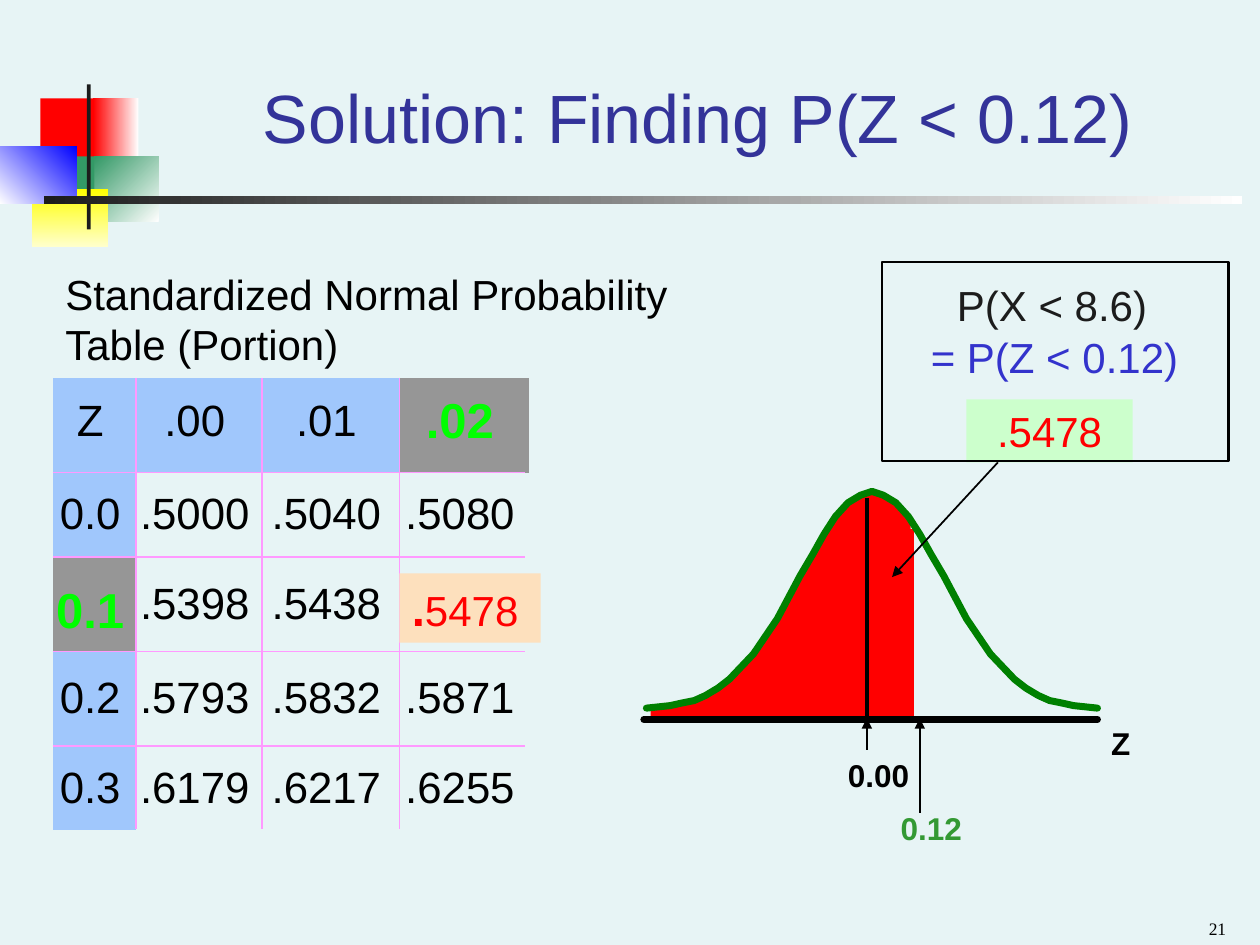
from itertools import accumulate

from lxml.etree import SubElement
from pptx import Presentation
from pptx.dml.color import RGBColor
from pptx.enum.shapes import MSO_CONNECTOR, MSO_SHAPE
from pptx.enum.text import MSO_ANCHOR, PP_ALIGN
from pptx.oxml.ns import qn
from pptx.util import Inches, Pt

BLACK, RED, GREEN, PINK = "000000", "FF0000", "008000", "FF99FF"
HEADER_BLUE, HIGHLIGHT_GRAY, HIGHLIGHT_GREEN = "A0C7FC", "969696", "00FF00"
NO_TABLE_STYLE = "{2D5ABB26-0587-4C30-8999-92F81FD0307C}"
LEFT, CENTER, RIGHT = PP_ALIGN.LEFT, PP_ALIGN.CENTER, PP_ALIGN.RIGHT

# (left, top, width, height), fill colours, clockwise gradient angle
DECORATION = [
    ((0.32, 0.78, 0.48, 0.52), [RED], 0),
    ((0.74, 0.78, 0.36, 0.52), ["FFFFFF", RED], 180),
    ((0.75, 1.24, 0.51, 0.52), ["FFFFFF", "339966"], 225),
    ((0.43, 1.24, 0.32, 0.52), ["339966"], 0),
    ((0.25, 1.5, 0.61, 0.46), ["FFFF00", "FFFFCC"], 90),
    ((0, 1.16, 0.61, 0.46), ["0000FF", "FFFFFF"], 135),
    ((0.69, 0.67, 0.03, 1.15), ["1C1C1C"], 0),
    ((0.35, 1.56, 9.51, 0.06), ["FFFFFF", "1C1C1C"], 180),
]

# The .5478 cell stays empty: its value sits in a highlight box on top
TABLE_ROWS = [
    ["Z", ".00", ".01", ".02"],
    ["0.0", ".5000", ".5040", ".5080"],
    ["0.1", ".5398", ".5438", ""],
    ["0.2", ".5793", ".5832", ".5871"],
    ["0.3", ".6179", ".6217", ".6255"],
]
HIGHLIGHTED = {".02", "0.1"}
TABLE_LEFT, TABLE_TOP, GRID_RIGHT, GRID_BOTTOM = 0.42, 3, 4.17, 6.58
COLUMN_WIDTHS = [0.66, 1, 1.09, 1.03]
ROW_HEIGHTS = [0.75, 0.67, 0.75, 0.75, 0.67]

# Bell curve: peak first, then the right half down to the tail
PEAK_X, MEAN_X, LIMIT_X, AXIS_Y = 6.92, 6.88, 7.22, 5.71
RIGHT_HALF = [
    (6.92, 3.9), (7.01, 3.93), (7.11, 3.99), (7.21, 4.1), (7.3, 4.24), (7.39, 4.4),
    (7.49, 4.57), (7.67, 4.91), (7.86, 5.19), (8.05, 5.39), (8.14, 5.46),
    (8.24, 5.52), (8.33, 5.56), (8.43, 5.58), (8.52, 5.6), (8.71, 5.62),
]
LEFT_AREA = [
    (6.88, 5.71), (6.87, 3.92), (6.71, 4.04), (6.54, 4.21), (6.43, 4.44), (6.27, 4.7),
    (6.18, 4.87), (6.07, 5.06), (5.96, 5.21), (5.79, 5.4), (5.52, 5.56),
    (5.17, 5.62), (5.17, 5.73),
]
RIGHT_AREA = [(6.88, 5.71), (6.88, 3.92), (7.06, 3.97), (7.13, 4.03), (7.22, 4.15), (7.22, 5.71)]

# text, (left, top, width, height), format
LABELS = [
    ("Z", (8.72, 5.7, 0.42, 0.4), dict(size=18, bold=True)),
    ("0.12", (7.05, 6.37, 0.69, 0.4), dict(size=18, bold=True, color="339933", wrap=False)),
    ("0.00", (6.63, 5.95, 0.69, 0.4), dict(size=18, bold=True, wrap=False)),
    ("= P(Z < 0.12)", (7.12, 2.58, 2.5, 0.5), dict(color="3333CC", align=CENTER, wrap=False)),
    ("P(X < 8.6)", (7.35, 2.17, 2, 0.5), dict(color="1C1C1C", align=CENTER, wrap=False)),
    ("21", (7.5, 7.15, 2.33, 0.35),
     dict(size=10, font="Times New Roman", align=RIGHT, anchor=MSO_ANCHOR.BOTTOM)),
]
ARROWS = [((6.88, 5.95), (6.88, 5.7)), ((7.3, 6.45), (7.3, 5.7)), ((7.92, 3.67), (7.08, 4.58))]


def rgb(color):
    return RGBColor.from_string(color)


def style_font(font, size, color, bold=False, name="Arial"):
    font.name, font.size, font.bold = name, Pt(size), bold
    font.color.rgb = rgb(color)


def write_text(frame, text, *, size=24, color=BLACK, bold=False, font="Arial",
               align=LEFT, anchor=MSO_ANCHOR.TOP, wrap=True, line_spacing=None):
    frame.word_wrap, frame.vertical_anchor = wrap, anchor
    frame.text = text
    for paragraph in frame.paragraphs:
        paragraph.alignment = align
        if line_spacing:
            paragraph.line_spacing = line_spacing
        for run in paragraph.runs:
            style_font(run.font, size, color, bold, font)


def add_label(slide, text, at, **text_format):
    box = slide.shapes.add_textbox(*map(Inches, at))
    write_text(box.text_frame, text, **text_format)
    return box.text_frame


def style_shape(shape, fill=None, line=None, width=1):
    shape.shadow.inherit = False
    if fill:
        shape.fill.solid()
        shape.fill.fore_color.rgb = rgb(fill)
    else:
        shape.fill.background()
    if line:
        shape.line.color.rgb = rgb(line)
        shape.line.width = Pt(width)
    else:
        shape.line.fill.background()


def add_rectangle(slide, at, **style):
    shape = slide.shapes.add_shape(MSO_SHAPE.RECTANGLE, *map(Inches, at))
    style_shape(shape, **style)
    return shape


def add_outline(slide, points, closed, **style):
    start, *rest = [(Inches(x), Inches(y)) for x, y in points]
    builder = slide.shapes.build_freeform(*start)
    builder.add_line_segments(rest, close=closed)
    shape = builder.convert_to_shape()
    style_shape(shape, **style)
    shape.line._get_or_add_ln().set("cap", "rnd")


def add_line(slide, start, end, color=BLACK, width=1, arrow=False):
    line = slide.shapes.add_connector(MSO_CONNECTOR.STRAIGHT, *map(Inches, (*start, *end)))
    line.line.color.rgb = rgb(color)
    line.line.width = Pt(width)
    SubElement(line._element.spPr, qn("a:effectLst"))
    if arrow:
        SubElement(line.line._get_or_add_ln(), qn("a:tailEnd"), type="triangle")
    return line


def add_decoration(slide):
    for at, colors, angle in DECORATION:
        shape = add_rectangle(slide, at, fill=colors[0])
        if len(colors) == 2:
            shape.fill.gradient()
            shape.fill.gradient_angle = (360 - angle) % 360
            for stop, color, position in zip(shape.fill.gradient_stops, colors, (0, 1)):
                stop.color.rgb, stop.position = rgb(color), position


def add_probability_table(slide):
    table = slide.shapes.add_table(
        len(TABLE_ROWS), len(COLUMN_WIDTHS), Inches(TABLE_LEFT), Inches(TABLE_TOP),
        Inches(sum(COLUMN_WIDTHS)), Inches(sum(ROW_HEIGHTS))).table
    table.first_row = table.horz_banding = False
    table._tbl.tblPr.find(qn("a:tableStyleId")).text = NO_TABLE_STYLE
    for column, width in zip(table.columns, COLUMN_WIDTHS):
        column.width = Inches(width)
    for row, height in zip(table.rows, ROW_HEIGHTS):
        row.height = Inches(height)
    for r, values in enumerate(TABLE_ROWS):
        for c, value in enumerate(values):
            cell = table.cell(r, c)
            highlighted = value in HIGHLIGHTED
            if r == 0 or c == 0:
                cell.fill.solid()
                cell.fill.fore_color.rgb = rgb(HIGHLIGHT_GRAY if highlighted else HEADER_BLUE)
            else:
                cell.fill.background()
            cell.margin_left, cell.margin_right = 0, Inches(0.07)
            cell.margin_top = Inches(0.12 if highlighted and r else 0)
            cell.margin_bottom = Inches(0 if r else 0.06)
            write_text(cell.text_frame, value, size=28 if highlighted else 25, bold=highlighted,
                       color=HIGHLIGHT_GREEN if highlighted else BLACK, align=CENTER)
            cell.vertical_anchor = MSO_ANCHOR.MIDDLE


def add_grid_lines(slide):
    """Rule the inner edges of the table."""
    for x in list(accumulate(COLUMN_WIDTHS, initial=TABLE_LEFT))[1:-1]:
        add_line(slide, (x, TABLE_TOP), (x, GRID_BOTTOM), PINK, 0.75)
    for y in list(accumulate(ROW_HEIGHTS, initial=TABLE_TOP))[1:-1]:
        add_line(slide, (TABLE_LEFT, y), (GRID_RIGHT, y), PINK, 0.75)


def add_bell_curve(slide):
    for area in (LEFT_AREA, RIGHT_AREA):
        add_outline(slide, area, True, fill=RED, line=RED)
    add_line(slide, (LIMIT_X, 4.2), (LIMIT_X, 5.7), RED, 5)
    add_line(slide, (MEAN_X, 3.95), (MEAN_X, 5.7), BLACK, 2.5)
    left_half = [(2 * PEAK_X - x, y) for x, y in RIGHT_HALF]
    for half in (RIGHT_HALF, left_half):
        add_outline(slide, half, False, line=GREEN, width=4)
    axis = add_line(slide, (5.11, AXIS_Y), (8.71, AXIS_Y), BLACK, 4)
    axis.line._get_or_add_ln().set("cap", "rnd")


def main():
    presentation = Presentation()
    presentation.slide_width, presentation.slide_height = Inches(10), Inches(7.5)
    slide = presentation.slides.add_slide(presentation.slide_layouts[5])
    slide.background.fill.solid()
    slide.background.fill.fore_color.rgb = rgb("E7F4F5")

    add_decoration(slide)
    title = slide.shapes.title
    title.left, title.top, title.width, title.height = map(Inches, (1.25, 0.33, 8.58, 1.25))
    write_text(title.text_frame, "Solution: Finding P(Z < 0.12)", size=39, color="333399",
               align=CENTER, anchor=MSO_ANCHOR.MIDDLE, line_spacing=0.95)

    add_bell_curve(slide)
    add_probability_table(slide)
    add_grid_lines(slide)

    answer = add_rectangle(slide, (7.67, 3.17, 1.32, 0.5), fill="CCFFCC")
    write_text(answer.text_frame, ".5478", color=RED, align=CENTER)
    table_value = add_rectangle(slide, (3.17, 4.55, 1.12, 0.55), fill="FDE0BD")
    write_text(table_value.text_frame, ".", size=27, color=RED, bold=True)
    digits = table_value.text_frame.paragraphs[0].add_run()
    digits.text = "5478"
    style_font(digits.font, 24, RED)

    caption = add_label(slide, "Standardized Normal Probability\nTable (Portion)",
                        (0.42, 2.08, 5, 0.87))
    caption.paragraphs[1].space_before = Pt(15)
    caption.paragraphs[1].line_spacing = 0.4
    for text, at, text_format in LABELS:
        add_label(slide, text, at, **text_format)
    for start, end in ARROWS:
        add_line(slide, start, end, arrow=True)
    add_rectangle(slide, (7, 2.08, 2.75, 1.58), line=BLACK, width=1.5)

    presentation.save("out.pptx")


if __name__ == "__main__":
    main()
